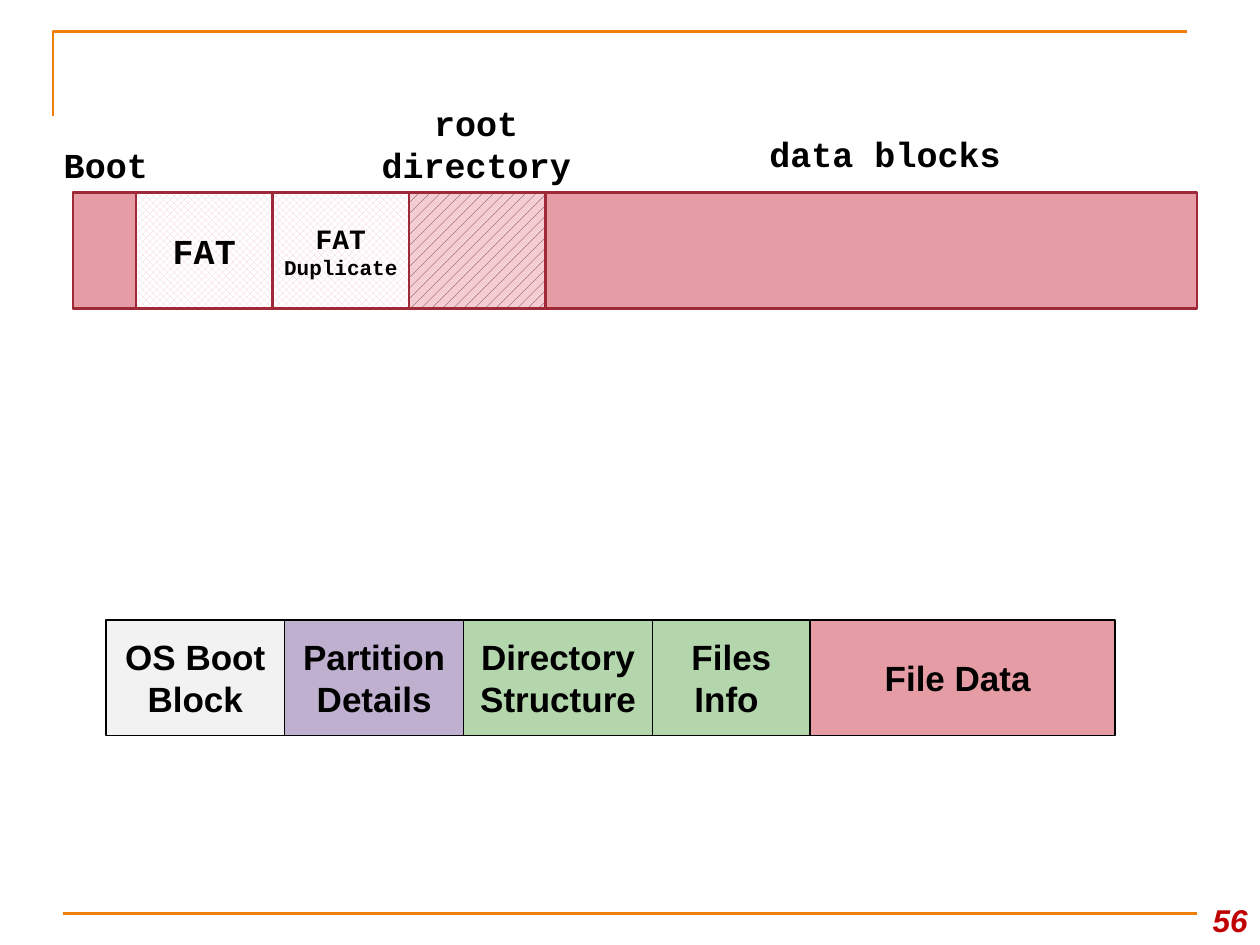
from lxml import etree
from pptx import Presentation
from pptx.dml.color import RGBColor
from pptx.enum.dml import MSO_PATTERN
from pptx.enum.shapes import MSO_CONNECTOR, MSO_SHAPE
from pptx.enum.text import MSO_ANCHOR, PP_ALIGN
from pptx.oxml.ns import qn
from pptx.util import Inches, Pt

RECTANGLE = MSO_SHAPE.RECTANGLE
STRAIGHT = MSO_CONNECTOR.STRAIGHT
CHECKER = MSO_PATTERN.LARGE_CHECKER_BOARD
DIAMOND = MSO_PATTERN.OUTLINED_DIAMOND
DASHED = MSO_PATTERN.DASHED_UPWARD_DIAGONAL
CENTER, RIGHT = PP_ALIGN.CENTER, PP_ALIGN.RIGHT
TOP, MIDDLE, BOTTOM = MSO_ANCHOR.TOP, MSO_ANCHOR.MIDDLE, MSO_ANCHOR.BOTTOM

COLORS = {
    "orange": "F07F09", "number": "C00000", "black": "000000", "white": "FFFFFF",
    "rose": "E69CA4", "pale rose": "F2CED2", "crimson": "9F2936", "maroon": "771F28",
    "gray": "F2F2F2", "purple": "BFB0CF", "green": "B3D6AC",
}
MONO, SANS = "Courier New", "Arial"


def color(name):
    return RGBColor.from_string(COLORS[name])


def write(shape, lines, sizes, font, anchor=MIDDLE, align=CENTER, wrap=True, ink="black"):
    """Fill a shape with bold text, one paragraph per line and size."""
    frame = shape.text_frame
    frame.text = "\n".join(lines)
    frame.word_wrap = wrap
    frame.vertical_anchor = anchor
    for paragraph, size in zip(frame.paragraphs, sizes):
        paragraph.alignment = align
        for run in paragraph.runs:
            run.font.name = font
            run.font.size = Pt(size)
            run.font.bold = True
            run.font.color.rgb = color(ink)
    return frame


def add_cell(slide, box, fill, line, line_width):
    """Add a rectangle; fill is a colour name or (pattern, fore, back)."""
    cell = slide.shapes.add_shape(RECTANGLE, *map(Inches, box))
    cell.shadow.inherit = False
    if isinstance(fill, tuple):
        pattern, fore, back = fill
        cell.fill.patterned()
        cell.fill.pattern = pattern
        cell.fill.fore_color.rgb = color(fore)
        cell.fill.back_color.rgb = color(back)
    else:
        cell.fill.solid()
        cell.fill.fore_color.rgb = color(fill)
    cell.line.color.rgb = color(line)
    cell.line.width = Pt(line_width)
    return cell


def add_label(slide, box, lines):
    label = slide.shapes.add_textbox(*map(Inches, box))
    write(label, lines, [20] * len(lines), MONO, anchor=TOP, wrap=False)


def add_frame(slide, left, top, width, height):
    """Draw the corner rule, the bottom rule and the slide number."""
    builder = slide.shapes.build_freeform(Inches(left), Inches(top + 0.67))
    builder.add_line_segments(
        [(Inches(left), Inches(top)), (Inches(left + width), Inches(top))], close=False)
    corner = builder.convert_to_shape()
    corner.shadow.inherit = False
    corner.fill.background()

    bottom = Inches(top + height)
    rule = slide.shapes.add_connector(
        STRAIGHT, Inches(left + 0.08), bottom, Inches(left + width + 0.08), bottom)
    etree.SubElement(rule.element.spPr, qn("a:effectLst"))
    for shape in (corner, rule):
        shape.line.color.rgb = color("orange")
        shape.line.width = Pt(1.5)

    number = slide.shapes.add_textbox(
        Inches(left + width), Inches(top + height - 0.25), Inches(0.58), Inches(0.5))
    frame = write(number, ["56"], [18], SANS, anchor=BOTTOM, align=RIGHT, ink="number")
    frame.paragraphs[0].runs[0].font.italic = True


def add_fat_layout(slide, left, top, width, height):
    """Draw the FAT disk bar with the labels above it."""
    boot_width, area_width = 0.5, 3.25 / 3
    areas = [
        ((CHECKER, "pale rose", "white"), ["FAT"], [20]),
        ((DIAMOND, "pale rose", "white"), ["FAT", "Duplicate"], [16, 12]),
        ((DASHED, "maroon", "pale rose"), [], []),
    ]
    add_cell(slide, (left, top, width, height), "rose", "crimson", 1.5)
    for index, (fill, lines, sizes) in enumerate(areas):
        area_left = left + boot_width + index * area_width
        cell = add_cell(slide, (area_left, top, area_width, height), fill, "crimson", 1.5)
        if lines:
            write(cell, lines, sizes, MONO, wrap=False)
    add_cell(slide, (left, top, boot_width, height), "rose", "crimson", 1.5)

    add_label(slide, (left - 0.18, top - 0.44, 0.88, 0.44), ["Boot"])
    add_label(slide, (left + 2.34, top - 0.77, 1.72, 0.77), ["root", "directory"])
    add_label(slide, (left + 5.42, top - 0.53, 2.05, 0.44), ["data blocks"])


def add_general_layout(slide, left, top, height):
    """Draw the general file system bar, one block after another."""
    blocks = [
        ("OS Boot Block", 1.42, "gray"),
        ("Partition Details", 1.42, "purple"),
        ("Directory Structure", 1.5, "green"),
        ("Files Info ", 1.25, "green"),
        ("File Data ", 2.42, "rose"),
    ]
    for text, width, fill in blocks:
        cell = add_cell(slide, (left, top, width, height), fill, "black", 0.75)
        write(cell, [text], [20], SANS)
        left += width


def main():
    presentation = Presentation()
    presentation.slide_width, presentation.slide_height = Inches(10), Inches(7.5)
    slide = presentation.slides.add_slide(presentation.slide_layouts[6])
    add_frame(slide, 0.42, 0.25, 9, 7)
    add_fat_layout(slide, 0.58, 1.53, 8.92, 0.92)
    add_general_layout(slide, 0.84, 4.92, 0.92)
    presentation.save("out.pptx")


if __name__ == "__main__":
    main()
